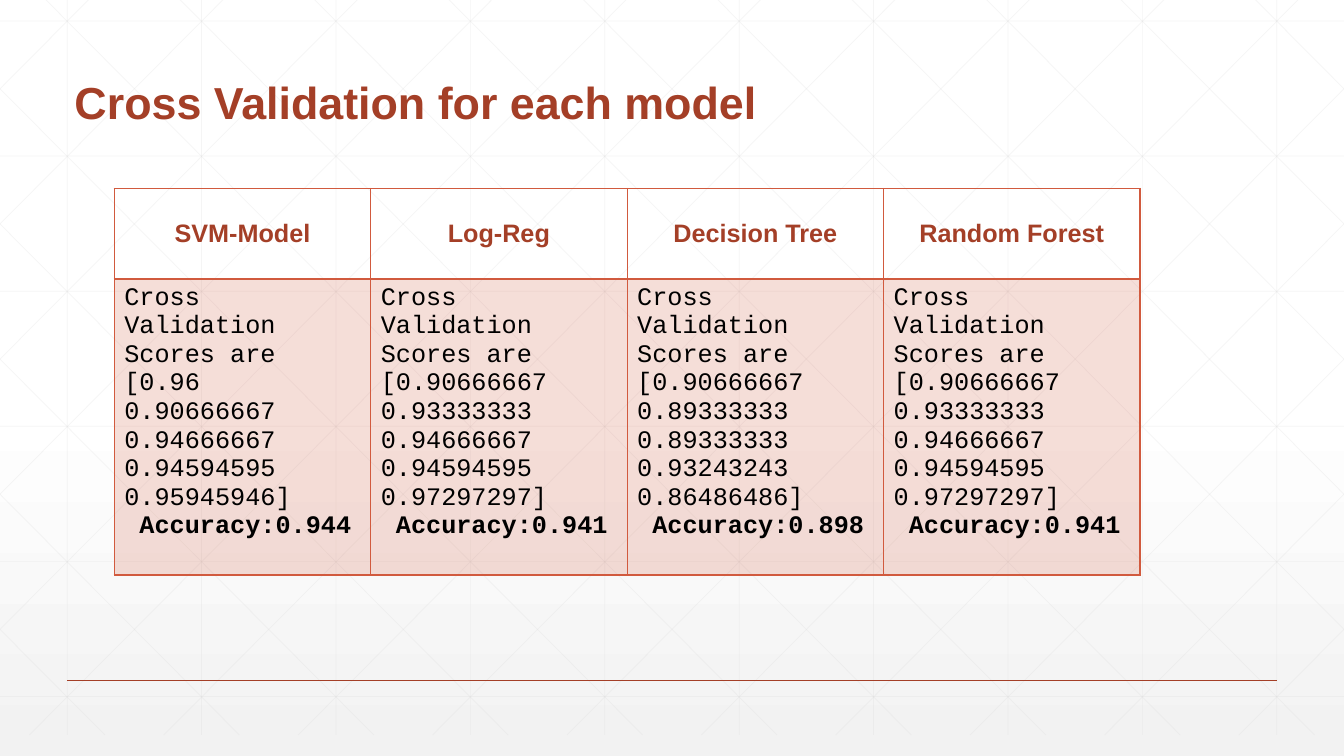
from dataclasses import dataclass
from typing import Iterator

from pptx import Presentation
from pptx.dml.color import RGBColor
from pptx.enum.shapes import MSO_CONNECTOR
from pptx.enum.text import MSO_ANCHOR, MSO_AUTO_SIZE, PP_ALIGN
from pptx.oxml.ns import qn
from pptx.oxml.xmlchemy import OxmlElement as new_element
from pptx.slide import Slide
from pptx.util import Pt


@dataclass(frozen=True)
class Theme:
    accent: str = "A43F27"
    table: str = "D15A3E"
    grid: str = "D9D9D9"
    text: str = "000000"
    page_top: str = "FFFFFF"
    page_bottom: str = "F2F2F2"
    sans: str = "Arial"
    mono: str = "Courier New"
    title_size: float = 32
    table_size: float = 18
    grid_opacity: int = 25
    cell_opacity: int = 20


@dataclass(frozen=True)
class Line:
    x1: float
    y1: float
    x2: float
    y2: float


@dataclass(frozen=True)
class Model:
    name: str
    scores: str
    accuracy: str


THEME = Theme()
WIDTH, HEIGHT = 960, 540
GRID_STEP, GRID_TOP, GRID_BOTTOM = 96, -15, 525
DIAGONAL_RUN = 537
HEADER_HEIGHT, SCORES_HEIGHT, COLUMN_WIDTH = 64.8, 211.4, 183.2
ACCURACY_INDENT = 10.8
MODELS = [
    Model("SVM-Model", "0.96 0.90666667 0.94666667 0.94594595 0.95945946", "0.944"),
    Model("Log-Reg", "0.90666667 0.93333333 0.94666667 0.94594595 0.97297297", "0.941"),
    Model("Decision Tree", "0.90666667 0.89333333 0.89333333 0.93243243 0.86486486", "0.898"),
    Model("Random Forest", "0.90666667 0.93333333 0.94666667 0.94594595 0.97297297", "0.941"),
]


def apply_format(target, values: dict) -> None:
    for attribute, value in values.items():
        setattr(target, attribute, value)


def format_font(font, name: str, size: float, color: str, bold: bool) -> None:
    apply_format(font, {"name": name, "size": Pt(size), "bold": bold})
    font.color.rgb = RGBColor.from_string(color)


def set_opacity(parent, percent: int) -> None:
    """Make every plain colour below the element partly transparent."""
    for color in parent.iter(qn("a:srgbClr")):
        alpha = new_element("a:alpha")
        alpha.set("val", str(percent * 1000))
        color.append(alpha)


def grid_lines() -> Iterator[Line]:
    for column in range(10):
        x = 48 + column * GRID_STEP
        yield Line(x, GRID_TOP, x, GRID_BOTTOM)
    for row in range(6):
        y = 15 + row * 96.5
        yield Line(0, y, WIDTH, y)
    slope = (GRID_BOTTOM - GRID_TOP) / DIAGONAL_RUN
    for step in range(-5, 10):
        start = 18 + step * GRID_STEP
        left, right = max(start, 0), min(start + DIAGONAL_RUN, WIDTH)
        y_left, y_right = (GRID_TOP + (x - start) * slope for x in (left, right))
        yield Line(left, y_left, right, y_right)
        yield Line(WIDTH - left, y_left, WIDTH - right, y_right)


def draw_line(slide: Slide, line: Line, color: str, width: float, opacity: int = 100) -> None:
    ends = (Pt(value) for value in (line.x1, line.y1, line.x2, line.y2))
    connector = slide.shapes.add_connector(MSO_CONNECTOR.STRAIGHT, *ends)
    connector.line.width = Pt(width)
    connector.line.color.rgb = RGBColor.from_string(color)
    properties = connector.element.spPr
    if opacity < 100:
        set_opacity(properties, opacity)
    properties.append(new_element("a:effectLst"))


def draw_background(slide: Slide) -> None:
    fill = slide.background.fill
    fill.gradient()
    fill.gradient_angle = 270
    stops = ((0.53, THEME.page_top), (1, THEME.page_bottom))
    for stop, (position, color) in zip(fill.gradient_stops, stops):
        stop.position = position
        stop.color.rgb = RGBColor.from_string(color)
    for line in grid_lines():
        draw_line(slide, line, THEME.grid, 0.5, THEME.grid_opacity)
    draw_line(slide, Line(48, 486, 912, 486), THEME.accent, 1)


def draw_title(slide: Slide, wording: str) -> None:
    title = slide.shapes.title
    title.element.getparent().append(title.element)
    apply_format(title, {"left": Pt(46), "top": Pt(6), "width": Pt(756), "height": Pt(90)})
    frame = title.text_frame
    frame.text = wording
    apply_format(frame, {"vertical_anchor": MSO_ANCHOR.BOTTOM, "word_wrap": True,
                         "auto_size": MSO_AUTO_SIZE.NONE})
    paragraph = frame.paragraphs[0]
    apply_format(paragraph, {"alignment": PP_ALIGN.LEFT, "line_spacing": 0.9})
    format_font(paragraph.font, THEME.sans, THEME.title_size, THEME.accent, True)


def set_borders(cell, widths: dict[str, float]) -> None:
    properties = cell._tc.get_or_add_tcPr()
    for index, (side, width) in enumerate(widths.items()):
        border = new_element(f"a:ln{side}")
        border.set("w", str(Pt(width)))
        fill = new_element("a:solidFill")
        color = new_element("a:srgbClr")
        color.set("val", THEME.table)
        fill.append(color)
        border.append(fill)
        properties.insert(index, border)


def fill_header(cell, model: Model) -> None:
    cell.text = model.name
    cell.vertical_anchor = MSO_ANCHOR.MIDDLE
    cell.fill.background()
    paragraph = cell.text_frame.paragraphs[0]
    paragraph.alignment = PP_ALIGN.CENTER
    format_font(paragraph.runs[0].font, THEME.sans, THEME.table_size, THEME.accent, True)
    set_borders(cell, {"L": 1, "R": 1, "T": 1, "B": 2})


def fill_scores(cell, model: Model) -> None:
    cell.text = f"Cross Validation Scores are [{model.scores}]\nAccuracy:{model.accuracy}"
    cell.fill.solid()
    cell.fill.fore_color.rgb = RGBColor.from_string(THEME.table)
    set_opacity(cell._tc.tcPr, THEME.cell_opacity)
    scores, accuracy = cell.text_frame.paragraphs
    accuracy._p.get_or_add_pPr().set("marL", str(Pt(ACCURACY_INDENT)))
    for paragraph, bold in ((scores, False), (accuracy, True)):
        format_font(paragraph.runs[0].font, THEME.mono, THEME.table_size, THEME.text, bold)
    set_borders(cell, {"L": 1, "R": 1, "T": 2, "B": 1})


def draw_table(slide: Slide) -> None:
    table = slide.shapes.add_table(
        2, len(MODELS), Pt(81.6), Pt(134.6),
        Pt(COLUMN_WIDTH * len(MODELS)), Pt(HEADER_HEIGHT + SCORES_HEIGHT)).table
    apply_format(table, {"first_row": False, "horz_banding": False})
    for row, height in zip(table.rows, (HEADER_HEIGHT, SCORES_HEIGHT)):
        row.height = Pt(height)
    for column, model in enumerate(MODELS):
        table.columns[column].width = Pt(COLUMN_WIDTH)
        fill_header(table.cell(0, column), model)
        fill_scores(table.cell(1, column), model)


def main() -> None:
    deck = Presentation()
    apply_format(deck, {"slide_width": Pt(WIDTH), "slide_height": Pt(HEIGHT)})
    slide = deck.slides.add_slide(deck.slide_layouts.get_by_name("Title Only"))
    draw_background(slide)
    draw_title(slide, "Cross Validation for each model")
    draw_table(slide)
    deck.save("out.pptx")


if __name__ == "__main__":
    main()
